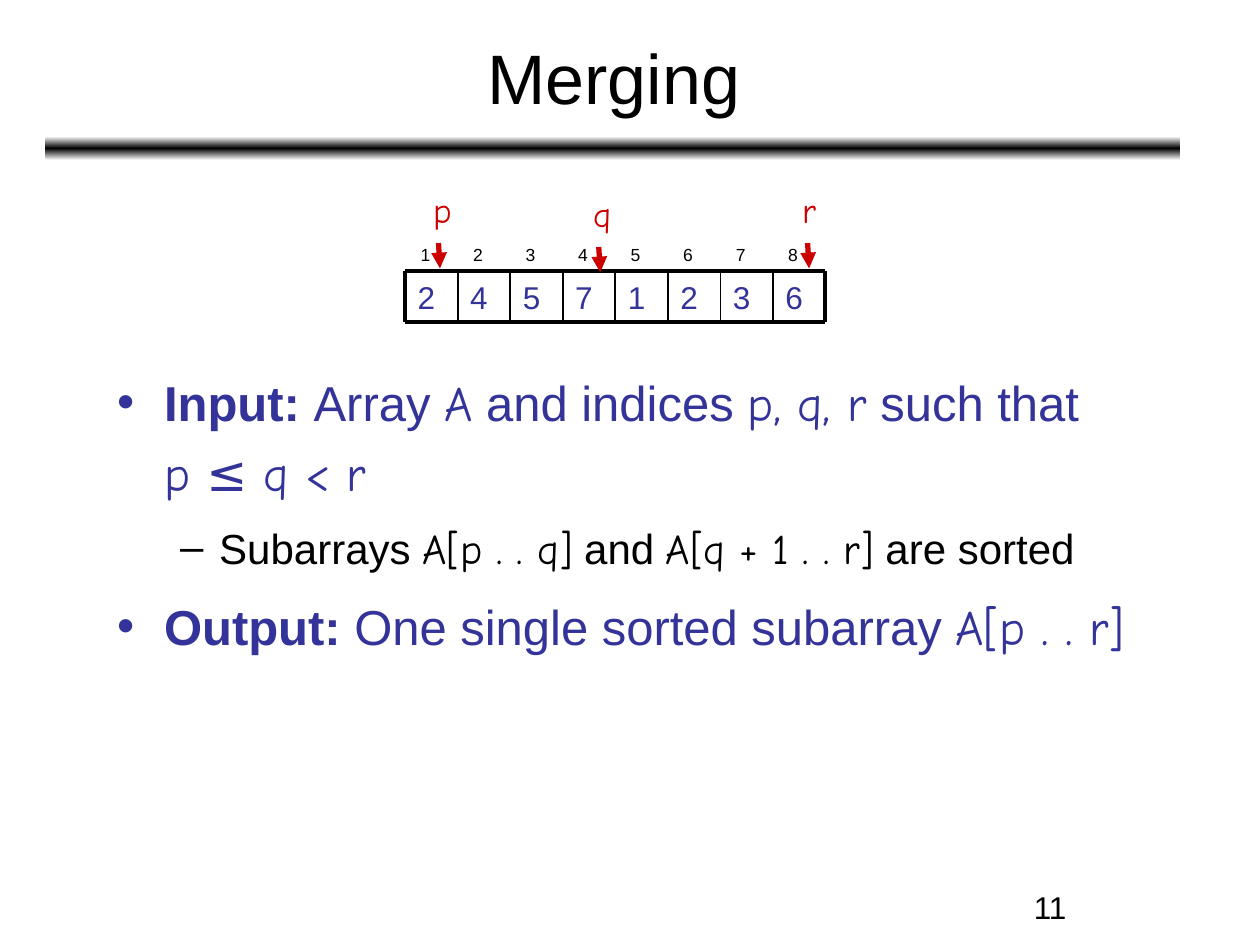
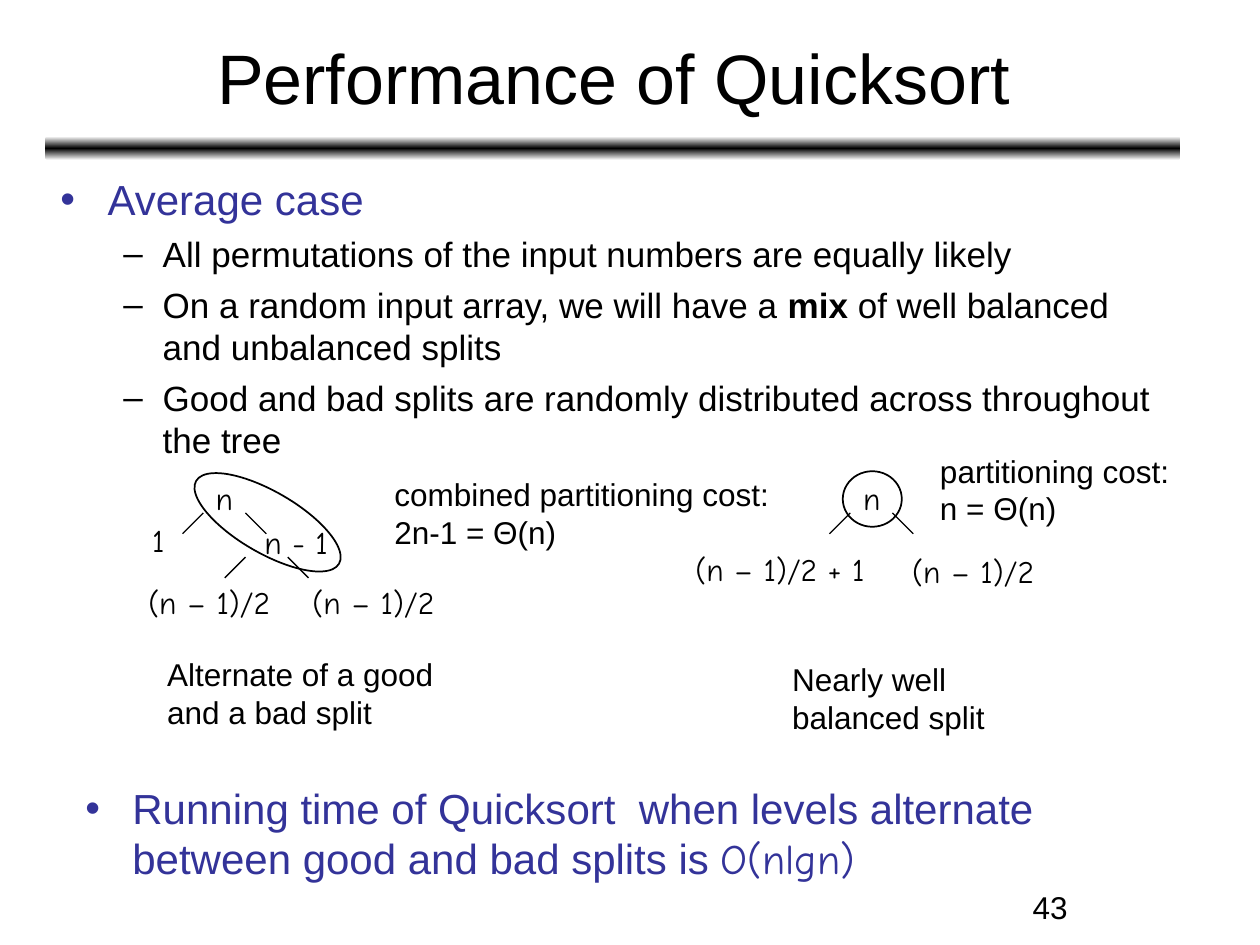
from copy import deepcopy

from lxml.etree import SubElement
from pptx import Presentation
from pptx.dml.color import RGBColor
from pptx.enum.shapes import MSO_CONNECTOR, MSO_SHAPE
from pptx.enum.text import MSO_ANCHOR, MSO_AUTO_SIZE, PP_ALIGN
from pptx.oxml.ns import qn
from pptx.util import Cm, Pt

COLORS = {"ink": "000000", "accent": "333399", "marker": "CC0000", "paper": "FFFFFF"}
SANS, HAND = "Arial", "Comic Neue"
TITLE_ONLY = 5

# Outline levels: bullet, colour, left margin and hanging indent in cm
LEVELS = [("•", "accent", 0.95, 0.95), ("–", "ink", 2.06, 0.79)]


def rgb(name):
    return RGBColor.from_string(COLORS[name])


class Deck:
    def __init__(self):
        self.presentation = Presentation()
        self.presentation.slide_width = Cm(25.4)
        self.presentation.slide_height = Cm(19.05)
        self.slide = None

    def new_slide(self, title, number):
        layout = self.presentation.slide_layouts[TITLE_ONLY]
        self.slide = self.presentation.slides.add_slide(layout)
        self.band()
        heading = self.slide.shapes.title
        heading.left, heading.top = Cm(0.94), Cm(0.28)
        heading.width, heading.height = Cm(22.86), Cm(2.51)
        frame = heading.text_frame
        frame.auto_size = MSO_AUTO_SIZE.NONE
        frame.vertical_anchor = MSO_ANCHOR.MIDDLE
        frame.paragraphs[0].alignment = PP_ALIGN.CENTER
        self.run(frame.paragraphs[0], title, 40)
        self.text(18.21, 17.78, 5.92, 0.89, [number], align=PP_ALIGN.CENTER)

    def band(self):
        """Bar under the title, fading from its dark middle to both edges."""
        bar = self.slide.shapes.add_shape(
            MSO_SHAPE.ROUNDED_RECTANGLE, Cm(0.91), Cm(2.75), Cm(22.89), Cm(0.48))
        bar.shadow.inherit = False
        bar.line.fill.background()
        bar.fill.gradient()
        bar.fill.gradient_angle = 90
        stop_list = bar.element.xpath(".//a:gsLst")[0]
        stop_list.append(deepcopy(stop_list[0]))
        fade = [(0, "paper"), (0.5, "ink"), (1, "paper")]
        for stop, (position, color) in zip(bar.fill.gradient_stops, fade):
            stop.position = position
            stop.color.rgb = rgb(color)

    def run(self, paragraph, text, size, color="ink", font=SANS, bold=False):
        run = paragraph.add_run()
        run.text = text
        run.font.size = Pt(size)
        run.font.name = font
        run.font.bold = bold
        run.font.color.rgb = rgb(color)

    def frame(self, left, top, width, height):
        box = self.slide.shapes.add_textbox(Cm(left), Cm(top), Cm(width), Cm(height))
        box.text_frame.word_wrap = True
        box.text_frame.auto_size = MSO_AUTO_SIZE.NONE
        return box.text_frame

    def text(self, left, top, width, height, lines, size=18, color="ink", font=SANS,
             align=PP_ALIGN.LEFT, anchor=MSO_ANCHOR.TOP):
        frame = self.frame(left, top, width, height)
        frame.vertical_anchor = anchor
        for index, line in enumerate(lines):
            paragraph = frame.add_paragraph() if index else frame.paragraphs[0]
            paragraph.alignment = align
            self.run(paragraph, line, size, color, font)

    def outline(self, left, top, width, height, items, sizes, spacing=1.0):
        """Bulleted list of (level, runs); a run is (text, kind), None a line break.

        Kinds: "" plain, "bold", "math" for the handwritten font.
        """
        frame = self.frame(left, top, width, height)
        for index, (level, runs) in enumerate(items):
            paragraph = frame.add_paragraph() if index else frame.paragraphs[0]
            size = sizes[level]
            paragraph.level = level
            paragraph.line_spacing = spacing
            paragraph.space_before = Pt(size // 4)
            color = self.bullet(paragraph, level)
            for part in runs:
                if part is None:
                    paragraph.add_line_break()
                    continue
                text, kind = part
                self.run(paragraph, text, size, color,
                         HAND if kind == "math" else SANS, kind == "bold")

    def bullet(self, paragraph, level):
        """Sets indent and bullet, and returns the colour of the level."""
        mark, color, margin, hanging = LEVELS[level]
        properties = paragraph._p.get_or_add_pPr()
        properties.set("marL", str(Cm(margin)))
        properties.set("indent", str(-Cm(hanging)))
        mark_color = SubElement(properties, qn("a:buClr"))
        SubElement(mark_color, qn("a:srgbClr"), val=COLORS[color])
        SubElement(properties, qn("a:buFont"), typeface=SANS)
        SubElement(properties, qn("a:buChar"), char=mark)
        return color

    def line(self, x1, y1, x2, y2, weight, color="ink", arrow=False):
        connector = self.slide.shapes.add_connector(
            MSO_CONNECTOR.STRAIGHT, Cm(x1), Cm(y1), Cm(x2), Cm(y2))
        connector.line.width = Pt(weight)
        connector.line.color.rgb = rgb(color)
        if arrow:
            SubElement(connector.line._get_or_add_ln(), qn("a:tailEnd"), type="triangle")
        SubElement(connector.element.spPr, qn("a:effectLst"))

    def ellipse(self, left, top, width, height, rotation=0):
        ring = self.slide.shapes.add_shape(
            MSO_SHAPE.OVAL, Cm(left), Cm(top), Cm(width), Cm(height))
        ring.shadow.inherit = False
        ring.fill.background()
        ring.line.color.rgb = rgb("ink")
        ring.line.width = Pt(1)
        ring.rotation = rotation

    def array(self, left, top, width, height, values):
        """Row of cells with indices counted from 1 above them."""
        pitch = width / len(values)
        right, bottom = left + width, top + height
        for index, value in enumerate(values):
            x = left + index * pitch
            self.text(x + 0.06, top - 0.68, 0.75, 0.69, [str(index + 1)], size=10)
            self.text(x, top, pitch, height, [str(value)], color="accent",
                      anchor=MSO_ANCHOR.MIDDLE)
            self.line(x, top, x, bottom, 1 if index else 2.25)
        self.line(right, top, right, bottom, 2.25)
        for y in (top, bottom):
            self.line(left, y, right, y, 2.25)

    def pointer(self, name, x, y):
        self.line(x, y, x + 0.03, y + 0.51, 3, "marker", arrow=True)
        self.text(x - 0.36, y - 1.23, 1, 1.12, [name], size=20, color="marker", font=HAND)

    def node(self, label, left, top, width):
        self.text(left, top, width, 1.02, [label], font=HAND)

    def fork(self, left, top):
        """Two branches that spread downwards from below a node."""
        gap, reach = 0.85, 0.42
        self.line(left, top, left - reach, top + reach, 0.75)
        self.line(left + gap, top, left + gap + reach, top + reach, 0.75)


def merging(deck):
    deck.new_slide("Merging", "11")
    deck.outline(2.11, 7.14, 21.49, 7.44, [
        (0, [("Input: ", "bold"), ("Array ", ""), ("A", "math"), (" and indices ", ""),
             ("p, q, r", "math"), (" such that", ""), None, ("p ≤ q < r", "math")]),
        (1, [("Subarrays ", ""), ("A[p . . q]", "math"), (" and ", ""),
             ("A[q + 1 . . r]", "math"), (" are sorted", "")]),
        (0, [("Output: ", "bold"), ("One single sorted subarray ", ""),
             ("A[p . . r]", "math")]),
    ], sizes=(28, 24), spacing=1.2)
    deck.array(8.17, 5.47, 8.47, 1.02, [2, 4, 5, 7, 1, 2, 3, 6])
    for name, x, y in [("p", 8.84, 4.9), ("q", 12.07, 4.98), ("r", 16.28, 4.9)]:
        deck.pointer(name, x, y)


def quicksort(deck):
    deck.new_slide("Performance of Quicksort", "43")
    sizes = (24, 20)
    deck.outline(0.97, 3.38, 22.86, 6.15, [
        (0, [("Average case", "")]),
        (1, [("All permutations of the input numbers are equally likely", "")]),
        (1, [("On a random input array, we will have a ", ""), ("mix", "bold"),
             (" of well balanced and unbalanced splits", "")]),
        (1, [("Good and bad splits are randomly distributed across throughout the tree", "")]),
    ], sizes)

    captions = [
        (3.12, 13.08, 6.2, ["Alternate of a good", "and a bad split"]),
        (15.72, 13.19, 4.7, ["Nearly well", "balanced split"]),
        (7.7, 9.45, 8.4, ["combined partitioning cost:", "2n-1 = Θ(n)"]),
        (18.7, 8.98, 5.4, ["partitioning cost:", "n = Θ(n)"]),
    ]
    for left, top, width, lines in captions:
        deck.text(left, top, width, 1.78, lines)

    half = "(n – 1)/2"
    nodes = [
        ("n", 4.1, 9.53, 1), ("1", 2.82, 10.37, 0.9), ("n - 1", 5.08, 10.41, 2.1),
        (half, 2.74, 11.63, 3.25), (half, 6.05, 11.63, 3.25),
        ("n", 17.15, 9.53, 1), (half + " + 1", 13.77, 10.97, 4.25),
        (half, 18.14, 11, 3.25),
    ]
    for node in nodes:
        deck.node(*node)
    for left, top in [(4.1, 10.34), (4.95, 11.23), (17.14, 10.34)]:
        deck.fork(left, top)
    deck.ellipse(3.73, 9.91, 3.33, 1.24, rotation=30.1)
    deck.ellipse(16.99, 9.5, 1.19, 1.12)

    deck.outline(1.47, 15.65, 22.86, 2.34, [
        (0, [("Running time of Quicksort  when levels alternate between good "
              "and bad splits is ", ""), ("O(nlgn)", "math")]),
    ], sizes)


def main():
    deck = Deck()
    merging(deck)
    quicksort(deck)
    deck.presentation.save("out.pptx")


if __name__ == "__main__":
    main()
